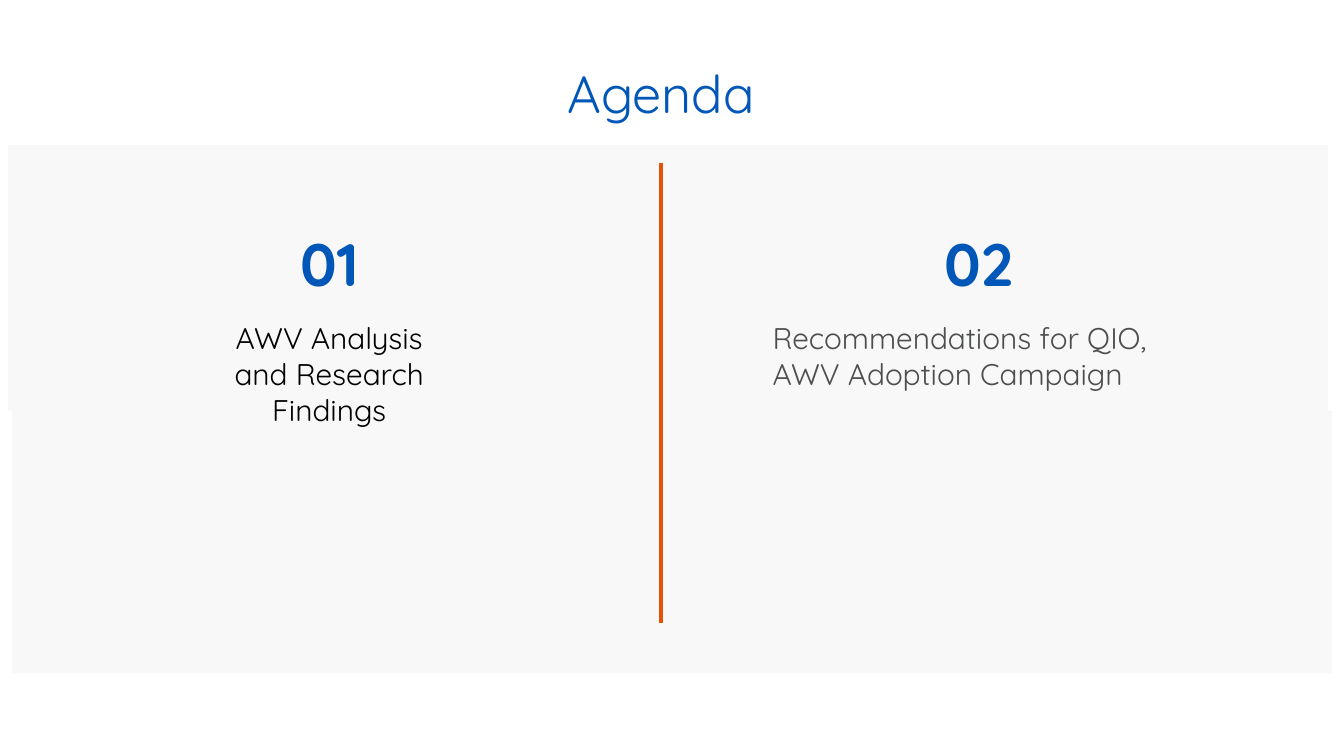
from dataclasses import dataclass

from lxml import etree
from pptx import Presentation
from pptx.dml.color import RGBColor
from pptx.enum.shapes import MSO_CONNECTOR, MSO_SHAPE
from pptx.enum.text import PP_ALIGN
from pptx.oxml.ns import qn
from pptx.util import Inches, Pt

LEFT, CENTER = PP_ALIGN.LEFT, PP_ALIGN.CENTER
RECT, STRAIGHT = MSO_SHAPE.RECTANGLE, MSO_CONNECTOR.STRAIGHT
WIDTH = 10
HEIGHT = WIDTH * 9 / 16


@dataclass(frozen=True)
class Theme:
    """Colours, font and type sizes of the slide."""
    font: str = "Quicksand"
    blue: str = "0057B8"
    orange: str = "E35205"
    black: str = "000000"
    gray: str = "4D4E4E"
    panel: str = "F2F2F2"
    panel_alpha: int = 50
    title: int = 28
    number: int = 32
    body: int = 16


THEME = Theme()


def add_panel(s, x, y, w, h):
    """Add a translucent background band."""
    sp = s.shapes.add_shape(RECT, Inches(x), Inches(y), Inches(w), Inches(h))
    sp.shadow.inherit = False
    sp.line.fill.background()
    sp.fill.solid()
    sp.fill.fore_color.rgb = RGBColor.from_string(THEME.panel)
    color = sp._element.spPr.find(".//" + qn("a:srgbClr"))
    etree.SubElement(color, qn("a:alpha"), val=str(THEME.panel_alpha * 1000))


def add_text(s, text, x, y, w, h, size, color, align=CENTER, bold=False):
    """Add a wrapped one-paragraph text box and return its text frame."""
    tf = s.shapes.add_textbox(Inches(x), Inches(y), Inches(w), Inches(h)).text_frame
    tf.word_wrap = True
    p = tf.paragraphs[0]
    p.text = text
    p.alignment = align
    p.font.name = THEME.font
    p.font.size = Pt(size)
    p.font.bold = bold
    p.font.color.rgb = RGBColor.from_string(color)
    return tf


def add_title(s, text):
    """Add the slide title without insets."""
    tf = add_text(s, text, 0.17, 0.49, 9.5, 0.38, THEME.title, THEME.blue)
    tf.margin_left = tf.margin_right = tf.margin_top = tf.margin_bottom = 0
    tf.paragraphs[0].line_spacing = 0.95


def add_item(s, number, text, center, w, h, color, align):
    """Add a numbered agenda item centred on its column."""
    num_w = 1.15
    add_text(s, number, center - num_w / 2, 1.64, num_w, 0.64,
             THEME.number, THEME.blue, bold=True)
    add_text(s, text, center - w / 2, 2.33, w, h, THEME.body, color, align)


def add_divider(s, x, top, bottom):
    """Add the vertical rule between the columns."""
    line = s.shapes.add_connector(STRAIGHT, Inches(x), Inches(top),
                                  Inches(x), Inches(bottom))
    line.line.color.rgb = RGBColor.from_string(THEME.orange)
    line.line.width = Pt(2)
    line._element.spPr.find(qn("a:ln")).set("cap", "sq")
    etree.SubElement(line._element.spPr, qn("a:effectLst"))


def main():
    """Build and save the agenda slide."""
    prs = Presentation()
    prs.slide_width, prs.slide_height = Inches(WIDTH), Inches(HEIGHT)
    s = prs.slides.add_slide(prs.slide_layouts[6])
    add_panel(s, 0.09, 3.06, 9.82, 1.95)
    add_panel(s, 0.06, 1.08, 9.82, 1.98)
    add_title(s, "Agenda")
    add_item(s, "01", "AWV Analysis and Research Findings",
             2.45, 1.76, 0.91, THEME.black, CENTER)
    add_item(s, "02", "Recommendations for QIO, AWV Adoption Campaign",
             7.28, 3.26, 0.98, THEME.gray, LEFT)
    add_divider(s, 4.92, 1.23, 4.62)
    prs.save("out.pptx")


if __name__ == "__main__":
    main()
